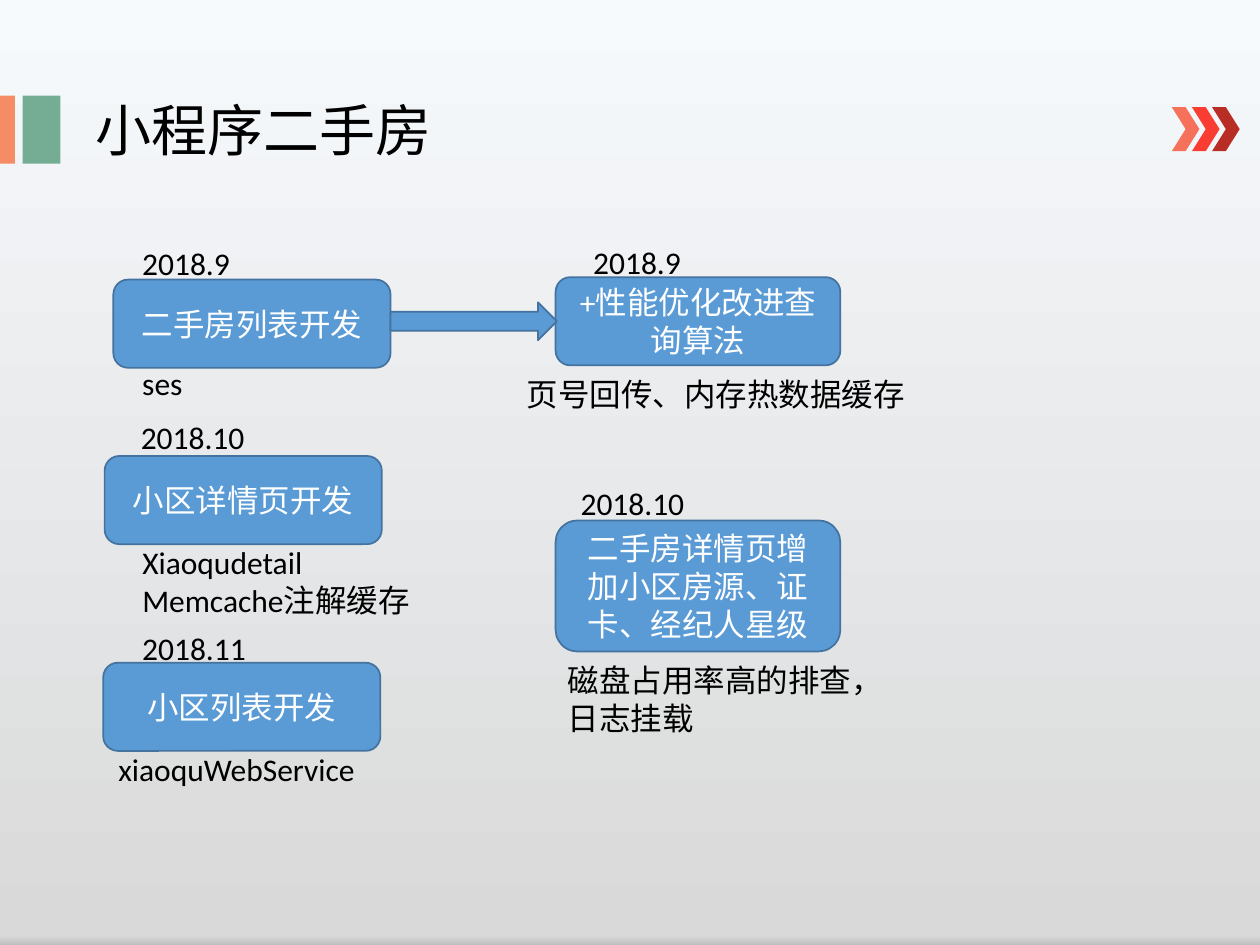
import copy

import pptx
import pptx.dml.color
import pptx.enum.shapes
import pptx.enum.text
import pptx.oxml.ns
import pptx.util

Pt = pptx.util.Pt
KIND = pptx.enum.shapes.MSO_SHAPE
ALIGN = pptx.enum.text.PP_ALIGN
ANCHOR = pptx.enum.text.MSO_ANCHOR
SIZING = pptx.enum.text.MSO_AUTO_SIZE

BLUE, EDGE, WHITE, BLACK = "5B9BD5", "43739E", "FFFFFF", "000000"

# left, top, width, height, text
STEPS = [
    (64.8, 159.8, 158.4, 50.4, "二手房列表开发"),
    (59.8, 260.6, 158.4, 50.4, "小区详情页开发"),
    (59, 378.7, 158.4, 50.4, "小区列表开发"),
    (317.5, 158.4, 162.7, 50.4, "+性能优化改进查询算法"),
    (317.5, 297.4, 162.7, 74.9, "二手房详情页增加小区房源、证卡、经纪人星级"),
]

# left, top, width, height, wrap, text
NOTES = [
    (74.2, 136.1, 105.8, 28.8, True, "2018.9"),
    (74.2, 204.5, 105.8, 28.8, True, "ses"),
    (73.4, 235.4, 74.2, 28.8, False, "2018.10"),
    (74.2, 306.7, 198, 51.1, True, "Xiaoqudetail\nMemcache注解缓存"),
    (74.2, 355.7, 74.2, 28.8, False, "2018.11"),
    (60.5, 424.8, 174.2, 28.8, True, "xiaoquWebService"),
    (331.9, 135.4, 105.8, 28.8, True, "2018.9"),
    (293.8, 211, 232.6, 28.8, False, "页号回传、内存热数据缓存"),
    (324.7, 272.9, 74.2, 28.8, False, "2018.10"),
    (317.5, 374.4, 196.6, 51.1, False, "磁盘占用率高的排查，\n日志挂载"),
]


def tint(color, code):
    color.rgb = pptx.dml.color.RGBColor.from_string(code)


def put(target, **values):
    for name, value in values.items():
        setattr(target, name, value)


def place(shape, box):
    put(shape, **dict(zip(("left", "top", "width", "height"), map(Pt, box))))


def write(frame, text, size, code, align, **values):
    frame.text = text
    put(frame, **values)
    for para in frame.paragraphs:
        para.alignment = align
        put(para.font, name="Calibri", size=Pt(size))
        tint(para.font.color, code)


def draw(shapes, kind, box, fill, edge=None):
    shape = shapes.add_shape(kind, *map(Pt, box))
    shape.shadow.inherit = False
    shape.fill.solid()
    tint(shape.fill.fore_color, fill)
    if edge:
        tint(shape.line.color, edge)
        shape.line.width = Pt(1)
    else:
        shape.line.fill.background()
    return shape


def shade(slide):
    """Fill the background from light at the top to a thin dark foot."""
    fill = slide.background.fill
    fill.gradient()
    fill.gradient_angle = 270
    stops = slide.element.find(".//" + pptx.oxml.ns.qn("a:gsLst"))
    stops.append(copy.deepcopy(stops[-1]))
    marks = [(0, "F7FAFD"), (0.99, "D9D9D9"), (1, "BFBFBF")]
    for stop, (spot, code) in zip(fill.gradient_stops, marks):
        stop.position = spot
        tint(stop.color, code)


def add_title(slide, text):
    title = slide.shapes.title
    place(title, (47.5, 51.1, 420.5, 46.1))
    write(title.text_frame, text, 32, BLACK, ALIGN.LEFT, word_wrap=True,
          vertical_anchor=ANCHOR.TOP, auto_size=SIZING.NONE)


def add_trim(slide):
    bars = slide.shapes.add_group_shape().shapes
    draw(bars, KIND.RECTANGLE, (0, 54.7, 8.6, 38.9), "F58C65")
    draw(bars, KIND.RECTANGLE, (13, 54.7, 21.6, 38.9), "74AD93")
    marks = slide.shapes.add_group_shape().shapes
    for i, code in enumerate(("F5715B", "F93D32", "B82E24")):
        draw(marks, KIND.CHEVRON, (669.6 + 11.5 * i, 61.2, 15.8, 25.2), code)


def add_step(slide, *box, text):
    step = draw(slide.shapes, KIND.ROUNDED_RECTANGLE, box, BLUE, EDGE)
    write(step.text_frame, text, 18, WHITE, ALIGN.CENTER,
          word_wrap=True, vertical_anchor=ANCHOR.MIDDLE)


def add_note(slide, *box, wrap, text):
    note = slide.shapes.add_textbox(*map(Pt, box))
    write(note.text_frame, text, 18, BLACK, ALIGN.LEFT,
          word_wrap=wrap, auto_size=SIZING.SHAPE_TO_FIT_TEXT)


def main():
    deck = pptx.Presentation()
    put(deck, slide_width=Pt(720), slide_height=Pt(540))
    slide = deck.slides.add_slide(deck.slide_layouts[5])
    shade(slide)
    add_trim(slide)
    add_title(slide, "小程序二手房")
    for *box, text in STEPS:
        add_step(slide, *box, text=text)
    draw(slide.shapes, KIND.RIGHT_ARROW, (223.2, 172.8, 95, 21.6), BLUE, EDGE)
    for *box, wrap, text in NOTES:
        add_note(slide, *box, wrap=wrap, text=text)
    deck.save("out.pptx")


if __name__ == "__main__":
    main()
